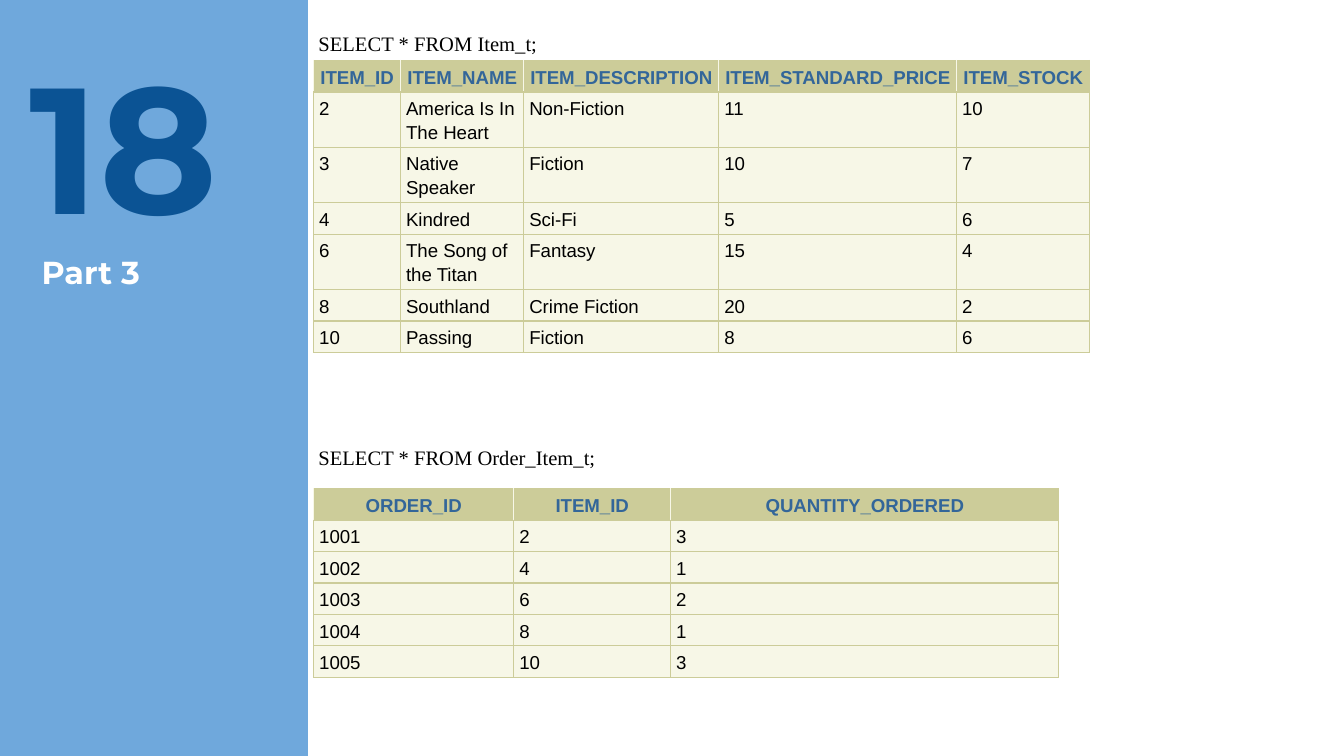
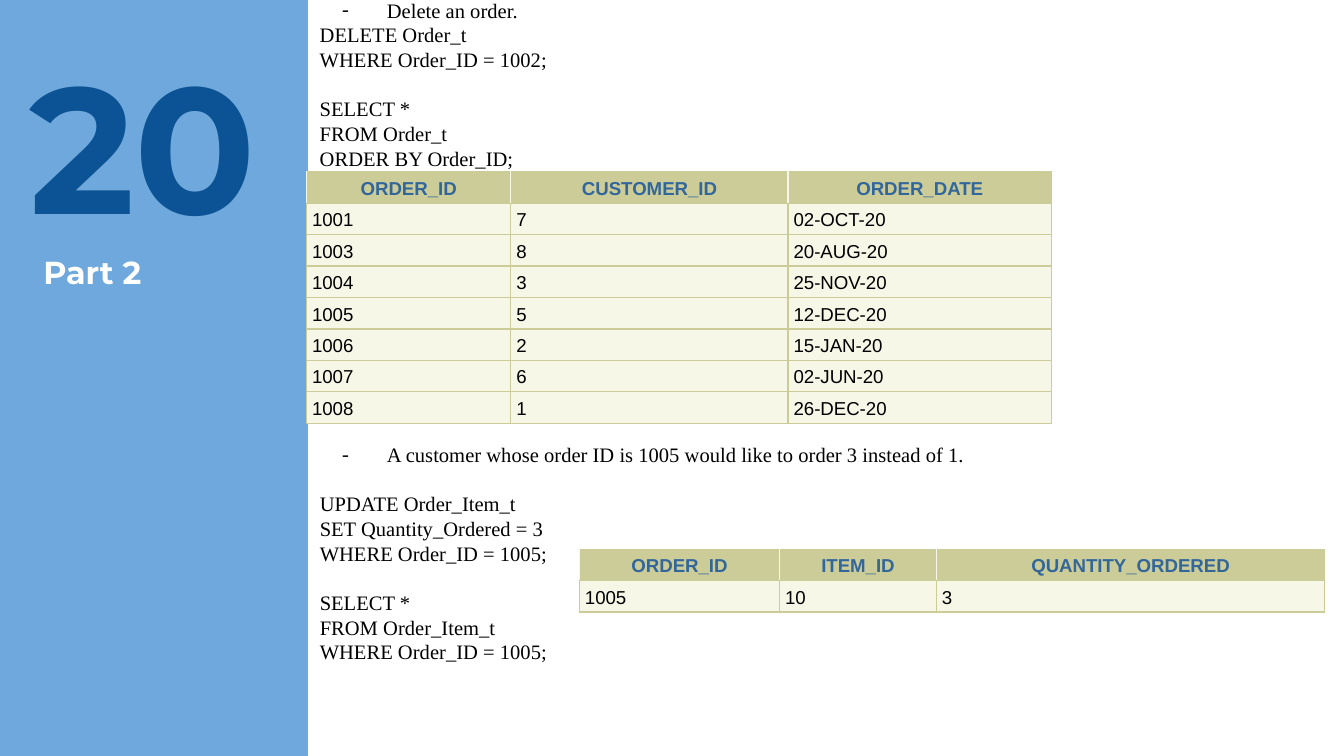
from lxml import etree
from pptx import Presentation
from pptx.dml.color import RGBColor
from pptx.enum.shapes import MSO_SHAPE
from pptx.enum.text import MSO_ANCHOR, MSO_AUTO_SIZE, PP_ALIGN
from pptx.oxml.ns import qn
from pptx.util import Pt

RECT = MSO_SHAPE.RECTANGLE
TOP, MID = MSO_ANCHOR.TOP, MSO_ANCHOR.MIDDLE
LEFT, CENTER = PP_ALIGN.LEFT, PP_ALIGN.CENTER
NO_FIT = MSO_AUTO_SIZE.NONE

WIDE, HIGH, EDGE = 720, 405, 165
SKY, NAVY, WHITE, BLACK = "6FA8DC", "0B5394", "FFFFFF", "000000"
KHAKI, CREAM, STEEL = "CCCC99", "F7F7E7", "336699"
HEAD, SANS, SERIF = "Montserrat", "Arial", "Times New Roman"
LINE = 13.2
ROW = 15
ORDER_COLS = (107.25, 84, 208)
ORDER_HEAD = ("ORDER_ID", "ITEM_ID", "QUANTITY_ORDERED")


def color(part, tone):
    part.rgb = RGBColor.from_string(tone)


def paint(fill, tone):
    fill.solid()
    color(fill.fore_color, tone)


def style(para, face, size, tone, bold=False):
    for run in para.runs:
        font = run.font
        font.name, font.size, font.bold = face, Pt(size), bold
        color(font.color, tone)


def place(shape, box):
    shape.left, shape.top, shape.width, shape.height = map(Pt, box)


def set_frame(frame, anchor):
    frame.word_wrap = True
    frame.auto_size = NO_FIT
    frame.vertical_anchor = anchor
    frame.margin_left = frame.margin_right = Pt(7.2)
    frame.margin_top = frame.margin_bottom = Pt(7.2)


def add_box(slide, box, anchor):
    frame = slide.shapes.add_textbox(*map(Pt, box)).text_frame
    set_frame(frame, anchor)
    return frame


def add_panel(slide):
    panel = slide.shapes.add_shape(RECT, Pt(EDGE), 0, Pt(WIDE - EDGE), Pt(HIGH))
    panel.shadow.inherit = False
    paint(panel.fill, WHITE)
    panel.line.fill.background()
    slide.slide_layout.element.cSld.spTree.insert(2, panel.element)


def add_side(slide, number, title, left):
    frame = add_box(slide, (8.6, 11.5, 142.6, 98.6), TOP)
    frame.text = number
    style(frame.paragraphs[0], HEAD, 96, NAVY, True)
    head = slide.shapes.title
    place(head, (left, 128.2, 148.3, 67.7))
    set_frame(head.text_frame, TOP)
    head.text_frame.text = title
    para = head.text_frame.paragraphs[0]
    para.alignment = LEFT
    style(para, HEAD, 17, WHITE, True)


def add_dash(para):
    props = para._p.get_or_add_pPr()
    props.set("marL", str(Pt(36)))
    props.set("indent", str(-Pt(24)))
    tone = etree.SubElement(props, qn("a:buClr"))
    etree.SubElement(tone, qn("a:srgbClr"), val=BLACK)
    etree.SubElement(props, qn("a:buFont"), typeface=SERIF)
    etree.SubElement(props, qn("a:buChar"), char="-")


def add_code(slide, box, groups, dash=False):
    frame = add_box(slide, box, MID)
    frame.text = "\n".join(line for group in groups for line in group)
    paras = frame.paragraphs
    for para in paras:
        style(para, SERIF, 11, BLACK)
    start = 0
    for group in groups[:-1]:
        start += len(group)
        paras[start].space_before = Pt(LINE)
    if dash:
        add_dash(paras[0])


def add_edge(cell, side, tone):
    line = etree.SubElement(cell._tc.get_or_add_tcPr(), qn("a:" + side), w=str(Pt(0.75)))
    fill = etree.SubElement(line, qn("a:solidFill"))
    etree.SubElement(fill, qn("a:srgbClr"), val=tone)


def fill_cell(cell, text, head, last):
    cell.margin_left = cell.margin_right = Pt(3)
    cell.margin_top = cell.margin_bottom = Pt(2)
    cell.text = text
    para = cell.text_frame.paragraphs[0]
    para.line_spacing = 1.15
    para.alignment = CENTER if head else LEFT
    style(para, SANS, 10, STEEL if head else BLACK, head)
    inner = CREAM if head else KHAKI
    add_edge(cell, "lnL", inner)
    add_edge(cell, "lnR", KHAKI if last else inner)
    add_edge(cell, "lnT", KHAKI)
    add_edge(cell, "lnB", KHAKI)
    paint(cell.fill, KHAKI if head else CREAM)


def add_grid(slide, left, top, cols, rows):
    size = (left, top, sum(cols), ROW * len(rows))
    grid = slide.shapes.add_table(len(rows), len(cols), *map(Pt, size)).table
    grid.first_row = grid.horz_banding = False
    for col, width in zip(grid.columns, cols):
        col.width = Pt(width)
    for r, row in enumerate(rows):
        grid.rows[r].height = Pt(ROW)
        for c, text in enumerate(row):
            fill_cell(grid.cell(r, c), text, r == 0, c == len(cols) - 1)


def fill_items(slide):
    add_side(slide, "18", "Part 3", 15.1)
    add_grid(slide, 168, 32.4, (46.6, 66, 104.5, 127.4, 71.3), [
        ("ITEM_ID", "ITEM_NAME", "ITEM_DESCRIPTION", "ITEM_STANDARD_PRICE", "ITEM_STOCK"),
        ("2", "America Is In The Heart", "Non-Fiction", "11", "10"),
        ("3", "Native Speaker", "Fiction", "10", "7"),
        ("4", "Kindred", "Sci-Fi", "5", "6"),
        ("6", "The Song of the Titan", "Fantasy", "15", "4"),
        ("8", "Southland", "Crime Fiction", "20", "2"),
        ("10", "Passing", "Fiction", "8", "6"),
    ])
    add_code(slide, (163.5, 0, 154.8, 46.8), [["SELECT * FROM Item_t;"]])
    add_grid(slide, 168, 261.8, ORDER_COLS, [
        ORDER_HEAD,
        ("1001", "2", "3"),
        ("1002", "4", "1"),
        ("1003", "6", "2"),
        ("1004", "8", "1"),
        ("1005", "10", "3"),
    ])
    add_code(slide, (163.5, 211, 433.4, 67.7), [["SELECT * FROM Order_Item_t;"]])


def fill_orders(slide):
    add_side(slide, "20", "Part 2", 16)
    add_grid(slide, 164.2, 92, (109.5, 148.5, 141), [
        ("ORDER_ID", "CUSTOMER_ID", "ORDER_DATE"),
        ("1001", "7", "02-OCT-20"),
        ("1003", "8", "20-AUG-20"),
        ("1004", "3", "25-NOV-20"),
        ("1005", "5", "12-DEC-20"),
        ("1006", "2", "15-JAN-20"),
        ("1007", "6", "02-JUN-20"),
        ("1008", "1", "26-DEC-20"),
    ])
    add_code(slide, (164.2, 0, 508.3, 90), [
        ["Delete an order.", "DELETE Order_t", "WHERE Order_ID = 1002;"],
        ["SELECT *", "FROM Order_t", "ORDER BY Order_ID;"],
    ], True)
    add_grid(slide, 310.4, 294.2, ORDER_COLS, [ORDER_HEAD, ("1005", "10", "3")])
    add_code(slide, (164.2, 247, 555.8, 98.6), [
        ["A customer whose order ID is 1005 would like to order 3 instead of 1."],
        ["UPDATE Order_Item_t", "SET Quantity_Ordered = 3", "WHERE Order_ID = 1005;"],
        ["SELECT *", "FROM Order_Item_t", "WHERE Order_ID = 1005;"],
    ], True)


def main():
    deck = Presentation()
    deck.slide_width, deck.slide_height = Pt(WIDE), Pt(HIGH)
    paint(deck.slide_master.background.fill, SKY)
    layout = deck.slide_layouts[5]
    items, orders = (deck.slides.add_slide(layout) for _ in range(2))
    add_panel(items)
    fill_items(items)
    fill_orders(orders)
    deck.save("out.pptx")


if __name__ == "__main__":
    main()
